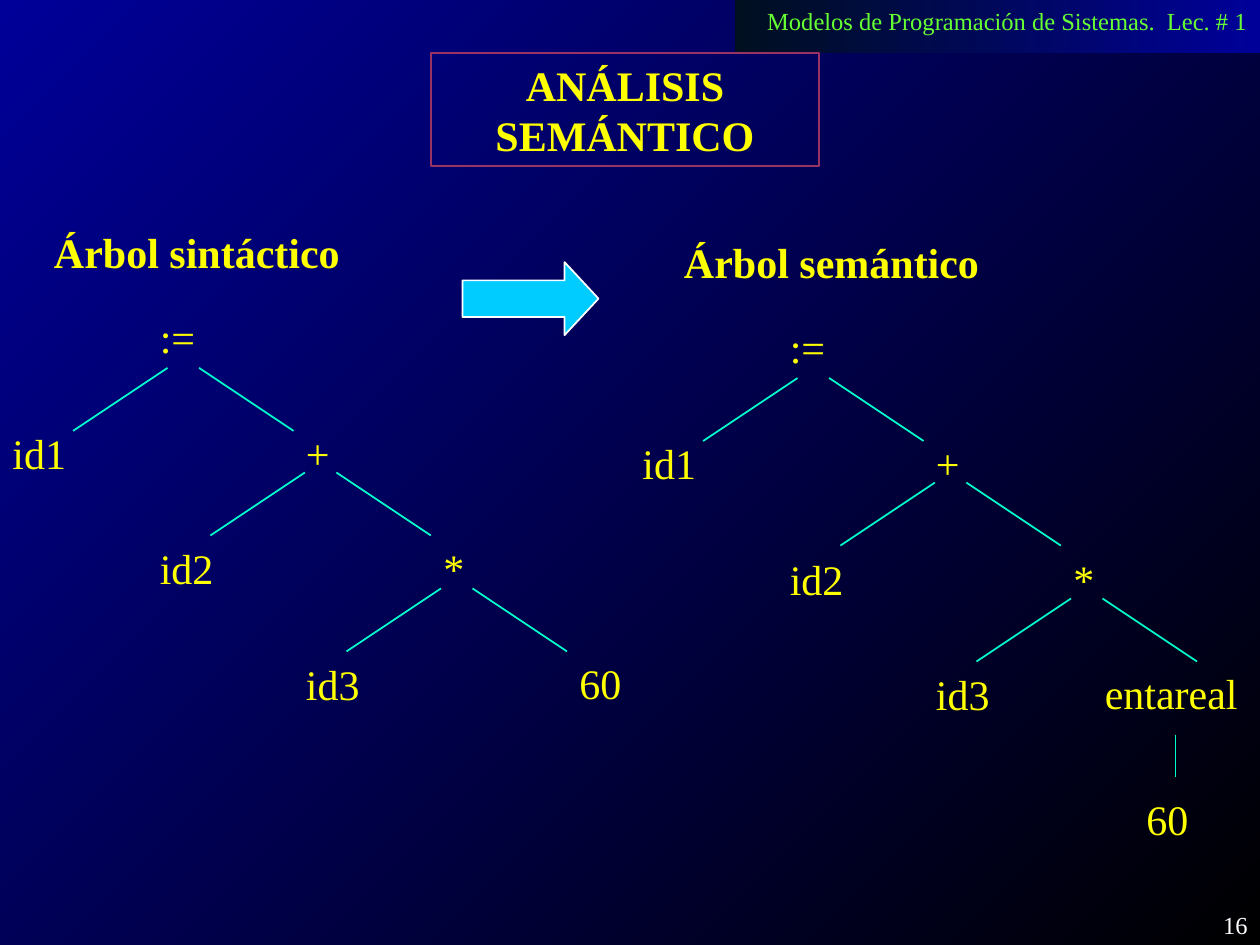
from dataclasses import dataclass

from lxml import etree
from pptx import Presentation
from pptx.dml.color import RGBColor
from pptx.enum import shapes, text
from pptx.oxml import ns
from pptx.util import Inches, Pt


@dataclass(frozen=True)
class Theme:
    font: str = "Times New Roman"
    big: int = 24
    small: int = 14
    line: int = 1
    blue: str = "000099"
    black: str = "000000"
    dark: str = "000F1F"
    green: str = "66FF33"
    yellow: str = "FFFF00"
    white: str = "FFFFFF"
    frame: str = "993366"
    arrow: str = "00CCFF"
    branch: str = "00FFCC"


THEME = Theme()
ALIGN = text.PP_ALIGN

# Tree nodes shared by both sides: label, left, row, width
NODES = [
    (":=", 1.17, 0, 0.58),
    ("id1", 0, 1, 0.75),
    ("+", 2.33, 1, 0.5),
    ("id2", 1.17, 2, 0.67),
    ("*", 3.42, 2, 0.42),
    ("id3", 2.33, 3, 0.67),
]
FORKS = [(1.33, 0.5), (2.42, 1.33), (3.5, 2.25)]  # left foot, below the root
ROW = 0.92


def rgb(code):
    return RGBColor.from_string(code)


def blend(fill, first, last, angle):
    fill.gradient()
    fill.gradient_angle = angle
    for stop, code in zip(fill.gradient_stops, (first, last)):
        stop.color.rgb = rgb(code)


def outline(shape, code):
    shape.line.color.rgb = rgb(code)
    shape.line.width = Pt(THEME.line)


def write(shape, words, size=THEME.big, color=THEME.yellow,
          bold=False, align=ALIGN.JUSTIFY, wrap=True, grow=True):
    frame = shape.text_frame
    frame.text = words
    frame.word_wrap = wrap
    frame.vertical_anchor = text.MSO_ANCHOR.TOP
    fit = text.MSO_AUTO_SIZE
    frame.auto_size = fit.SHAPE_TO_FIT_TEXT if grow else fit.NONE
    para = frame.paragraphs[0]
    para.alignment = align
    for run in para.runs:
        run.font.name = THEME.font
        run.font.size = Pt(size)
        run.font.bold = bold
        run.font.color.rgb = rgb(color)


def label(slide, words, left, top, width, height=0.5, **style):
    box = slide.shapes.add_textbox(
        Inches(left), Inches(top), Inches(width), Inches(height))
    write(box, words, **style)


def block(slide, kind, left, top, width, height):
    shape = slide.shapes.add_shape(
        kind, Inches(left), Inches(top), Inches(width), Inches(height))
    shape.shadow.inherit = False
    return shape


def branch(slide, x1, y1, x2, y2):
    line = slide.shapes.add_connector(
        shapes.MSO_CONNECTOR.STRAIGHT,
        Inches(x1), Inches(y1), Inches(x2), Inches(y2))
    outline(line, THEME.branch)
    etree.SubElement(line._element.spPr, ns.qn("a:effectLst"))


def tree(slide, title, left, top):
    """Draw the heading and the part common to both trees; top is the root's."""
    label(slide, title, left + 0.33, top - 0.67, 3.42, bold=True)
    for name, x, row, width in NODES:
        label(slide, name, left + x, top + row * ROW, width)
    for x, y in FORKS:
        x, y = left + x, top + y
        branch(slide, x, y, x - 0.75, y + 0.5)
        branch(slide, x + 0.25, y, x + 1, y + 0.5)


def header(slide):
    band = block(slide, shapes.MSO_SHAPE.RECTANGLE, 5.83, 0, 4.17, 0.42)
    blend(band.fill, THEME.blue, THEME.dark, 180)
    band.line.fill.background()
    label(slide, "Modelos de Programación de Sistemas.  Lec. # 1",
          5.99, 0, 4.01, 0.34, size=THEME.small, color=THEME.green,
          align=ALIGN.LEFT, wrap=False)


def heading(slide):
    box = block(slide, shapes.MSO_SHAPE.RECTANGLE, 3.42, 0.42, 3.08, 0.9)
    box.fill.background()
    outline(box, THEME.frame)
    write(box, "ANÁLISIS SEMÁNTICO", bold=True, align=ALIGN.CENTER)


def arrow(slide):
    shape = block(slide, shapes.MSO_SHAPE.DOWN_ARROW, 3.92, 1.83, 0.58, 1.08)
    shape.rotation = 270
    shape.adjustments[1] = 0.465
    shape.fill.solid()
    shape.fill.fore_color.rgb = rgb(THEME.arrow)
    outline(shape, THEME.white)


def main():
    deck = Presentation()
    deck.slide_width, deck.slide_height = Inches(10), Inches(7.5)
    slide = deck.slides.add_slide(deck.slide_layouts[6])
    blend(slide.background.fill, THEME.black, THEME.blue, 135)

    header(slide)
    heading(slide)
    arrow(slide)

    tree(slide, "Árbol sintáctico", 0, 2.42)
    label(slide, "60", 4.5, 5.17, 0.67)

    tree(slide, "Árbol semántico", 5, 2.5)
    label(slide, "entareal", 8.67, 5.25, 1.33)
    branch(slide, 9.33, 5.83, 9.33, 6.17)
    label(slide, "60", 9, 6.25, 0.67)

    label(slide, "16", 7.92, 7.17, 2.08, 0.33, size=THEME.small,
          color=THEME.white, align=ALIGN.RIGHT, grow=False)
    deck.save("out.pptx")


if __name__ == "__main__":
    main()
